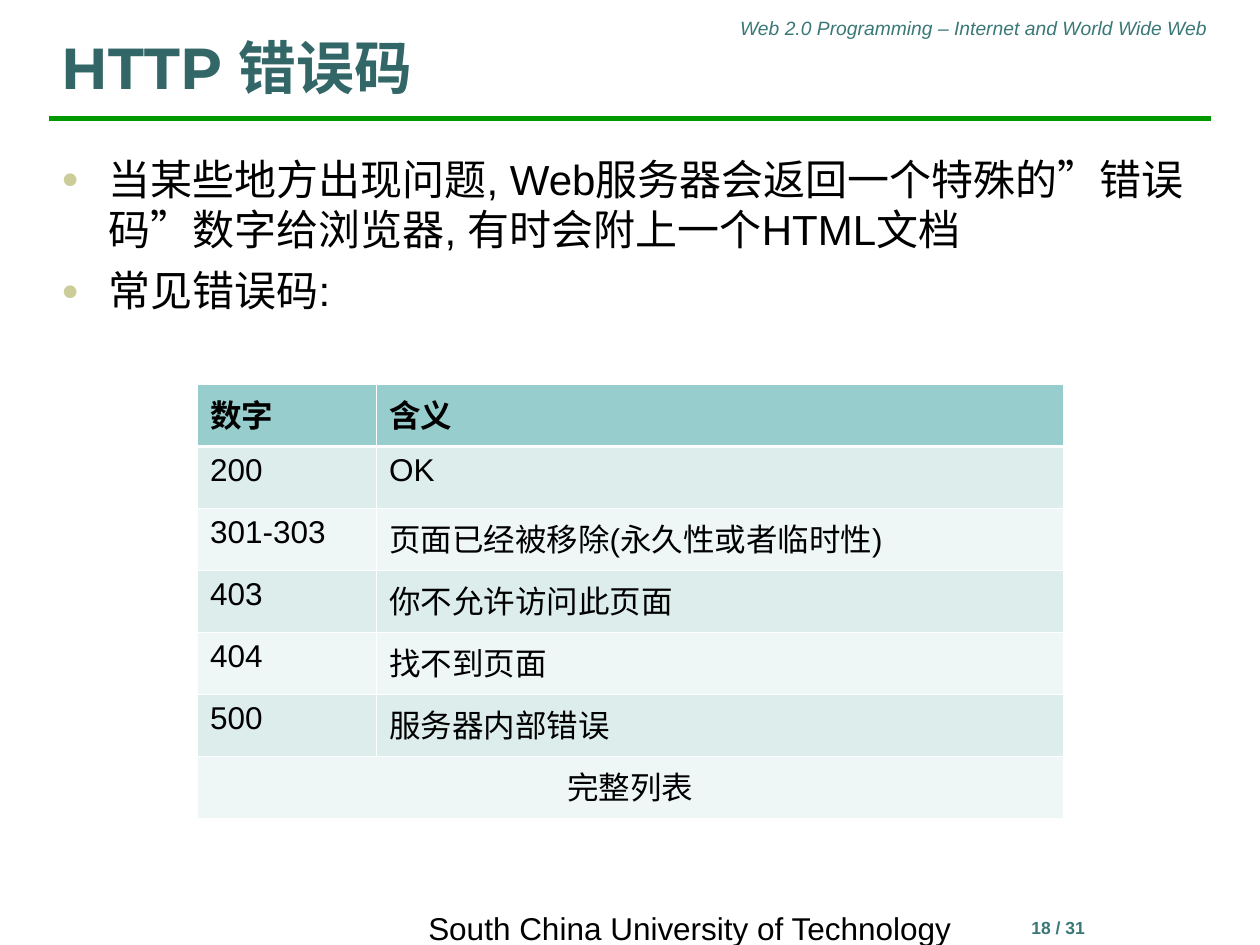
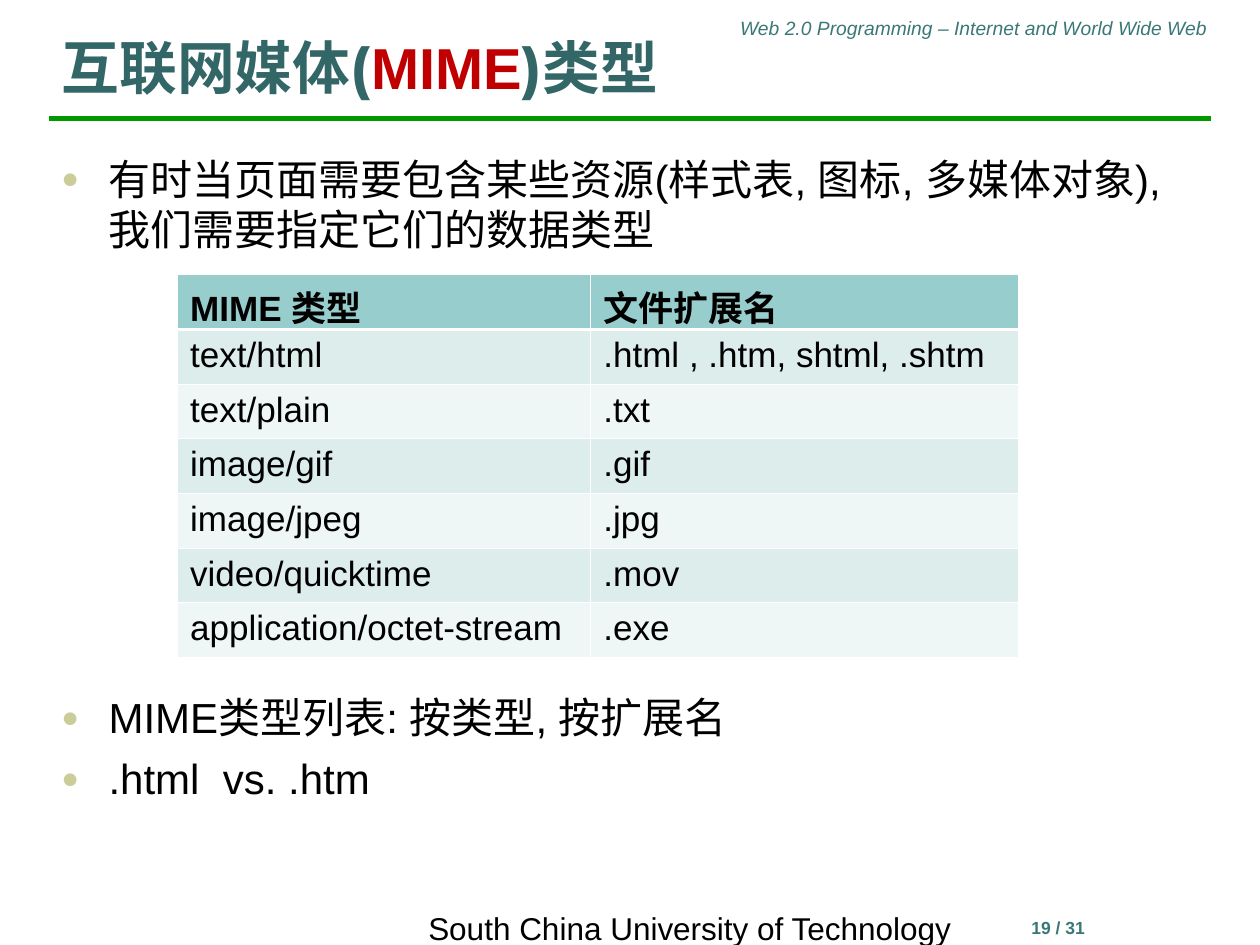
from lxml import etree
from pptx import Presentation
from pptx import util as u
from pptx.dml.color import RGBColor
from pptx.enum import shapes, text
from pptx.oxml.ns import qn

COLORS = {
    "title": "336666",
    "accent": "C00000",
    "rule": "009900",
    "frame": "3A7877",
    "text": "000000",
    "bullet": "CCCC99",
    "header": "97CDCC",
    "odd": "DDEDEC",
    "even": "EFF6F6",
    "border": "FFFFFF",
}
BODY_FONT = "Arial"
TITLE_FONT = "Montserrat"
LEFT, WIDTH = 0.99, 23.42
THIN, THICK = 0.45, 1.47
TOTAL_PAGES = 31
COURSE = "Web 2.0 Programming – Internet and World Wide Web"
SCHOOL = "South China University of Technology"


def color(name):
    return RGBColor.from_string(COLORS[name])


def add_run(paragraph, words, size, fill="text", font=BODY_FONT, bold=False, italic=False):
    run = paragraph.add_run()
    run.text = words
    run.font.size = u.Pt(size)
    run.font.name = font
    run.font.bold = bold
    run.font.italic = italic
    run.font.color.rgb = color(fill)


def add_box(slide, left, top, width, height):
    box = slide.shapes.add_textbox(u.Cm(left), u.Cm(top), u.Cm(width), u.Cm(height))
    box.text_frame.word_wrap = True
    return box.text_frame


def add_label(slide, place, words, align, anchor=text.MSO_ANCHOR.TOP, **style):
    frame = add_box(slide, *place)
    frame.vertical_anchor = anchor
    paragraph = frame.paragraphs[0]
    paragraph.alignment = align
    add_run(paragraph, words, **style)


def add_rule(slide, left, top, width):
    rule = slide.shapes.add_connector(
        shapes.MSO_CONNECTOR.STRAIGHT, u.Cm(left), u.Cm(top), u.Cm(left + width), u.Cm(top))
    rule.line.color.rgb = color("rule")
    rule.line.width = u.Pt(3)
    etree.SubElement(rule.element.spPr, qn("a:effectLst"))


def set_title(slide, runs):
    title = slide.shapes.title
    title.left, title.top = u.Cm(LEFT), u.Cm(0.38)
    title.width, title.height = u.Cm(WIDTH), u.Cm(1.78)
    frame = title.text_frame
    frame.auto_size = text.MSO_AUTO_SIZE.NONE
    frame.vertical_anchor = text.MSO_ANCHOR.BOTTOM
    paragraph = frame.paragraphs[0]
    paragraph.alignment = text.PP_ALIGN.LEFT
    for words, fill, font in runs:
        add_run(paragraph, words, 33, fill, font, bold=True)


def new_slide(presentation, page, title_runs):
    slide = presentation.slides.add_slide(presentation.slide_layouts[5])
    align = text.PP_ALIGN
    add_rule(slide, LEFT, 2.39, WIDTH)
    add_label(slide, (13.49, 0.2, 11.1, 0.74), COURSE, align.RIGHT,
              size=11, fill="frame", italic=True)
    add_label(slide, (18.47, 18.36, 5.72, 1.27), f"{page} / {TOTAL_PAGES}", align.CENTER,
              size=10, fill="frame", bold=True)
    add_label(slide, (8.1, 18.36, 11.61, 0.69), SCHOOL, align.CENTER,
              text.MSO_ANCHOR.MIDDLE, size=18)
    set_title(slide, title_runs)
    return slide


def add_bullet(paragraph):
    properties = paragraph._p.get_or_add_pPr()
    properties.set("marL", str(u.Cm(0.95)))
    properties.set("indent", str(-u.Cm(0.95)))
    bullet_color = etree.SubElement(properties, qn("a:buClr"))
    etree.SubElement(bullet_color, qn("a:srgbClr"), val=COLORS["bullet"])
    etree.SubElement(properties, qn("a:buSzPct"), val="70000")
    etree.SubElement(properties, qn("a:buFont"), typeface=BODY_FONT)
    etree.SubElement(properties, qn("a:buChar"), char="●")


def add_bullets(slide, top, height, items):
    frame = add_box(slide, LEFT, top, WIDTH, height)
    for index, words in enumerate(items):
        paragraph = frame.add_paragraph() if index else frame.paragraphs[0]
        add_bullet(paragraph)
        if index:
            paragraph.space_before = u.Pt(6)
        add_run(paragraph, words, 24)


def set_borders(cell, row):
    widths = {"L": THIN, "R": THIN,
              "T": THICK if row == 1 else THIN,
              "B": THICK if row == 0 else THIN}
    properties = cell._tc.get_or_add_tcPr()
    for side, width in widths.items():
        line = etree.SubElement(properties, qn(f"a:ln{side}"), w=str(u.Pt(width)))
        fill = etree.SubElement(line, qn("a:solidFill"))
        etree.SubElement(fill, qn("a:srgbClr"), val=COLORS["border"])


def row_fill(row):
    if row == 0:
        return "header"
    return "odd" if row % 2 else "even"


def add_grid(slide, left, top, column_widths, row_height, size, rows):
    table = slide.shapes.add_table(
        len(rows), len(column_widths), u.Cm(left), u.Cm(top),
        u.Cm(sum(column_widths)), u.Cm(row_height * len(rows))).table
    for column, width in zip(table.columns, column_widths):
        column.width = u.Cm(width)
    for row, values in enumerate(rows):
        table.rows[row].height = u.Cm(row_height)
        for column in range(len(column_widths)):
            cell = table.cell(row, column)
            set_borders(cell, row)
            cell.fill.solid()
            cell.fill.fore_color.rgb = color(row_fill(row))
        for column, words in enumerate(values):
            paragraph = table.cell(row, column).text_frame.paragraphs[0]
            add_run(paragraph, words, size, bold=row == 0)
        if len(values) == 1:
            table.cell(row, 0).merge(table.cell(row, len(column_widths) - 1))
            table.cell(row, 0).text_frame.paragraphs[0].alignment = text.PP_ALIGN.CENTER


def add_error_codes(presentation):
    slide = new_slide(presentation, 18, [("HTTP 错误码", "title", TITLE_FONT)])
    add_bullets(slide, 2.97, 4.37, [
        "当某些地方出现问题, Web服务器会返回一个特殊的”错误码”数字给浏览器, 有时会附上一个HTML文档",
        "常见错误码:",
    ])
    add_grid(slide, 3.98, 7.75, (3.61, 13.84), 1.25, 18, [
        ("数字", "含义"),
        ("200", "OK"),
        ("301-303", "页面已经被移除(永久性或者临时性)"),
        ("403", "你不允许访问此页面"),
        ("404", "找不到页面"),
        ("500", "服务器内部错误"),
        ("完整列表",),
    ])


def add_mime_types(presentation):
    slide = new_slide(presentation, 19, [
        ("互联网媒体(", "title", TITLE_FONT),
        ("MIME", "accent", BODY_FONT),
        (")类型", "title", TITLE_FONT),
    ])
    add_bullets(slide, 2.97, 2.4, [
        "有时当页面需要包含某些资源(样式表, 图标, 多媒体对象), 我们需要指定它们的数据类型",
    ])
    add_grid(slide, 3.58, 5.54, (8.33, 8.61), 1.1, 20, [
        ("MIME 类型", "文件扩展名"),
        ("text/html", ".html , .htm, shtml, .shtm"),
        ("text/plain", ".txt"),
        ("image/gif", ".gif"),
        ("image/jpeg", ".jpg"),
        ("video/quicktime", ".mov"),
        ("application/octet-stream", ".exe"),
    ])
    add_bullets(slide, 13.82, 2.8, [
        "MIME类型列表: 按类型, 按扩展名",
        ".html  vs. .htm",
    ])


def main():
    presentation = Presentation()
    presentation.slide_width = u.Cm(25.4)
    presentation.slide_height = u.Cm(19.05)
    add_error_codes(presentation)
    add_mime_types(presentation)
    presentation.save("out.pptx")


if __name__ == "__main__":
    main()
